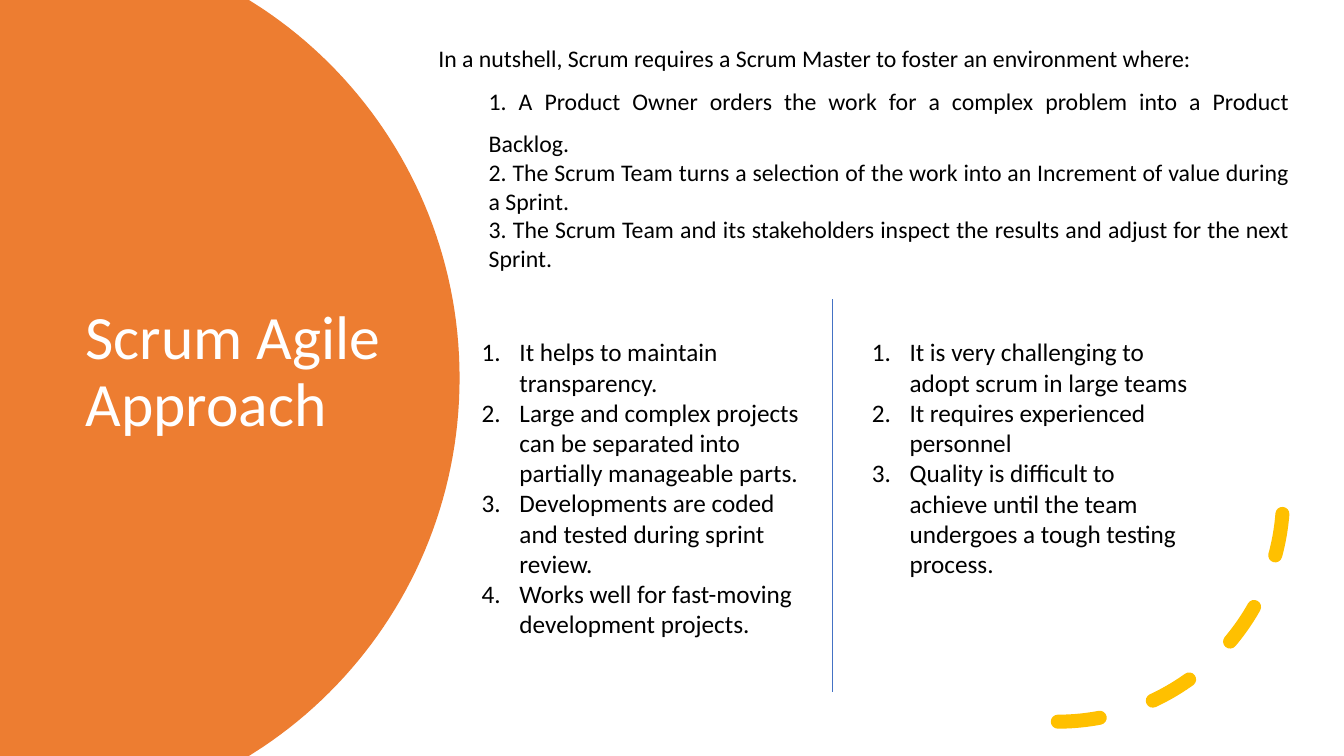
from lxml.etree import SubElement
from pptx import Presentation
from pptx.dml.color import RGBColor
from pptx.enum.dml import MSO_LINE_DASH_STYLE as Dash
from pptx.enum.shapes import MSO_CONNECTOR as Connector, MSO_SHAPE as Shape
from pptx.enum.text import MSO_ANCHOR as Anchor, MSO_AUTO_SIZE as AutoSize, PP_ALIGN as Align
from pptx.oxml.ns import qn
from pptx.util import Pt

COLOURS = {"orange": "ED7D31", "yellow": "FFC000", "blue": "4472C4",
           "white": "FFFFFF", "black": "000000"}
FONT = "Calibri"
WIDTH, HEIGHT = 960, 540

INTRO = "In a nutshell, Scrum requires a Scrum Master to foster an environment where:"
DUTIES = [
    "1. A Product Owner orders the work for a complex problem into a Product Backlog.",
    "2. The Scrum Team turns a selection of the work into an Increment of value during a Sprint.",
    "3. The Scrum Team and its stakeholders inspect the results and adjust for the next Sprint.",
]
BENEFITS = [
    "It helps to maintain transparency.",
    "Large and complex projects can be separated into partially manageable parts.",
    "Developments are coded and tested during sprint review.",
    "Works well for fast-moving development projects.",
]
DRAWBACKS = [
    "It is very challenging to adopt scrum in large teams",
    "It requires experienced personnel",
    "Quality is difficult to achieve until the team undergoes a tough testing process.",
]


def colour(name):
    return RGBColor.from_string(COLOURS[name])


def write(para, text, size=18, ink="black", align=Align.LEFT, spacing=1.0,
          after=0, indent=0, numbered=False):
    props = para._p.get_or_add_pPr()
    props.set("marL", str(Pt(indent)))
    props.set("indent", str(Pt(-indent if numbered else 0)))
    para.alignment = align
    para.line_spacing = spacing
    para.space_before, para.space_after = Pt(0), Pt(after)
    if numbered:
        SubElement(props, qn("a:buFont"), typeface="+mj-lt")
        SubElement(props, qn("a:buAutoNum"), type="arabicPeriod")
    span = para.add_run()
    span.text = text
    span.font.name = FONT
    span.font.size = Pt(size)
    span.font.color.rgb = colour(ink)


def circle_edge(steps=40):
    """Points down the round right edge of the panel, mirrored about mid-height."""
    (x0, y0), (x1, y1), (x2, y2), (x3, y3) = (
        (187.92, 6.48), (272.88, 63.36), (328.32, 160.56), (328.32, 270))
    upper = []
    for step in range(steps + 1):
        t = step / steps
        weights = (1 - t) ** 3, 3 * t * (1 - t) ** 2, 3 * t * t * (1 - t), t ** 3
        upper.append((sum(w * x for w, x in zip(weights, (x0, x1, x2, x3))),
                      sum(w * y for w, y in zip(weights, (y0, y1, y2, y3)))))
    return upper + [(x, HEIGHT - y) for x, y in reversed(upper[:-1])]


class SlideBuilder:
    def __init__(self, deck):
        self.slide = deck.slides.add_slide(deck.slide_layouts[5])
        self.shapes = self.slide.shapes

    def panel(self, points, fill):
        corners = [(Pt(x), Pt(y)) for x, y in points]
        outline = self.shapes.build_freeform(*corners[0])
        outline.add_line_segments(corners[1:], close=True)
        shape = outline.convert_to_shape()
        shape.shadow.inherit = False
        shape.fill.solid()
        shape.fill.fore_color.rgb = colour(fill)
        shape.line.fill.background()

    def title(self, text, left, top, width, height, **style):
        box = self.shapes.title
        box.left, box.top, box.width, box.height = map(Pt, (left, top, width, height))
        frame = box.text_frame
        frame.word_wrap = True
        frame.auto_size = AutoSize.NONE
        frame.vertical_anchor = Anchor.MIDDLE
        write(frame.paragraphs[0], text, **style)
        box._element.getparent().append(box._element)  # bring in front of the panel

    def text(self, entries, left, top, width, height):
        """Add a text box; entries are pairs of text and format."""
        box = self.shapes.add_textbox(*map(Pt, (left, top, width, height)))
        frame = box.text_frame
        frame.word_wrap = True
        frame.auto_size = AutoSize.SHAPE_TO_FIT_TEXT
        for index, (text, style) in enumerate(entries):
            para = frame.add_paragraph() if index else frame.paragraphs[0]
            write(para, text, **style)

    def numbered_list(self, items, *place):
        self.text([(item, {"indent": 27, "numbered": True}) for item in items], *place)

    def dashed_arc(self, left, top, size, ink, weight):
        """Draw the lower right quarter of a circle with round dashes."""
        arc = self.shapes.add_shape(Shape.ARC, *map(Pt, (left, top, size, size)))
        arc.shadow.inherit = False
        arc.fill.background()
        arc.line.color.rgb = colour(ink)
        arc.line.width = Pt(weight)
        arc.line.dash_style = Dash.DASH
        arc.line._get_or_add_ln().set("cap", "rnd")
        arc._element.spPr.find(qn("a:xfrm")).set("flipV", "1")

    def divider(self, x, top, bottom, ink, weight):
        line = self.shapes.add_connector(Connector.STRAIGHT, Pt(x), Pt(top), Pt(x), Pt(bottom))
        line.line.color.rgb = colour(ink)
        line.line.width = Pt(weight)
        SubElement(line._element.spPr, qn("a:effectLst"))


def main():
    deck = Presentation()
    deck.slide_width, deck.slide_height = Pt(WIDTH), Pt(HEIGHT)
    page = SlideBuilder(deck)

    page.panel([(0, 0), (177.84, 0), *circle_edge(), (177.84, HEIGHT), (0, HEIGHT)], "orange")
    page.title("Scrum Agile Approach", 54, 90.72, 252, 351.36,
               size=44, ink="white", spacing=0.9, after=6)
    page.dashed_arc(594.72, 193.68, 321.84, "yellow", 10)

    body = {"size": 17, "align": Align.JUSTIFY}
    duties = [(duty, {**body, "indent": 36, "spacing": 1.0 if index else 1.5})
              for index, duty in enumerate(DUTIES)]
    page.text([(INTRO, {**body, "spacing": 1.5}), *duties], 306, 17.28, 622.08, 173.52)

    page.divider(594.72, 213.84, 494.64, "blue", 0.5)
    page.numbered_list(BENEFITS, 336.96, 236.88, 245.52, 225.36)
    page.numbered_list(DRAWBACKS, 615.6, 236.88, 243.36, 181.44)
    deck.save("out.pptx")


if __name__ == "__main__":
    main()
